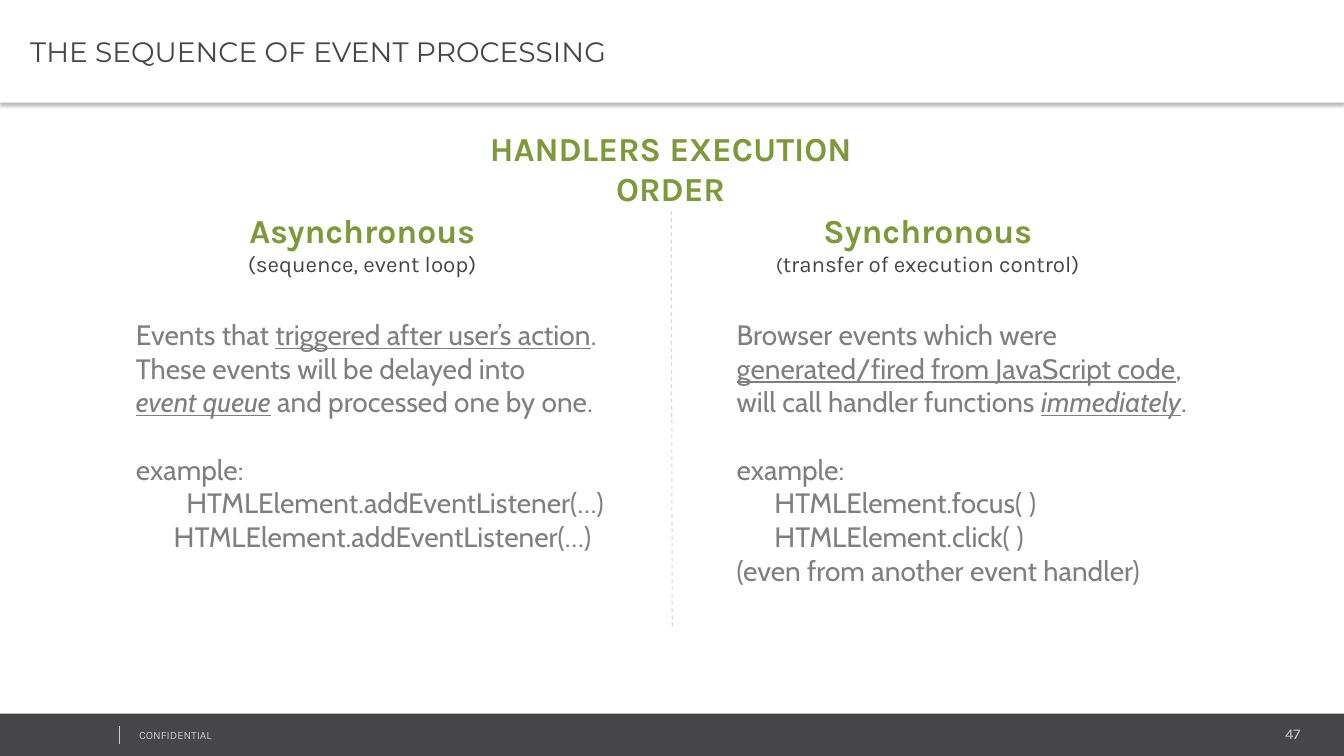
"""Builds a slide that compares asynchronous and synchronous event handlers."""
from collections import namedtuple
from dataclasses import dataclass

from lxml import etree
from pptx import Presentation
from pptx.dml.color import RGBColor
from pptx.enum.dml import MSO_LINE
from pptx.enum.shapes import MSO_CONNECTOR, MSO_SHAPE
from pptx.enum.text import MSO_ANCHOR, PP_ALIGN
from pptx.oxml.ns import qn
from pptx.util import Pt

LEFT, CENTER, RIGHT = PP_ALIGN.LEFT, PP_ALIGN.CENTER, PP_ALIGN.RIGHT
MIDDLE = MSO_ANCHOR.MIDDLE
RECT = MSO_SHAPE.RECTANGLE
STRAIGHT = MSO_CONNECTOR.STRAIGHT
DASH = MSO_LINE.DASH

Look = namedtuple("Look", "font size color bold italic under", defaults=(False, False, False))
Para = namedtuple("Para", "runs gap left", defaults=(0, 0))


@dataclass(frozen=True)
class Theme:
    """Colours and type looks of the slide."""
    white: str = "FFFFFF"
    dark: str = "464547"
    pale: str = "CCCCCC"
    faint: str = "D8D8D8"
    title: Look = Look("Montserrat", 20, "464547")
    head: Look = Look("Karla", 24, "7F993A", True)
    note: Look = Look("Karla", 16, "464547")
    small: Look = Look("Karla", 14, "464547")
    body: Look = Look("Cabin", 20, "7F7F7F")
    under: Look = Look("Cabin", 20, "7F7F7F", under=True)
    stress: Look = Look("Cabin", 20, "7F7F7F", italic=True, under=True)
    page: Look = Look("Karla", 10.7, "CCCCCC")
    foot: Look = Look("Karla", 8, "CCCCCC")


class Canvas:
    """Draws styled elements on the current slide."""

    def __init__(self, slide, theme):
        """Keeps the slide and its theme."""
        self.shapes = slide.shapes
        self.theme = theme

    def flow(self, frame, paras, align):
        """Fills a text frame with paragraphs of styled runs."""
        frame.word_wrap = True
        for i, para in enumerate(paras):
            line = frame.add_paragraph() if i else frame.paragraphs[0]
            line.alignment = align
            if para.gap:
                line.space_before = Pt(para.gap)
            if para.left:
                line.level = 1
                props = line._p.get_or_add_pPr()
                props.set("marL", str(Pt(para.left)))
                props.set("indent", "0")
            for words, look in para.runs:
                for j, part in enumerate(words.split("\n")):
                    if j:
                        line.add_line_break()
                    if part:
                        self.span(line, part, look)

    def span(self, line, words, look):
        """Adds one styled run to a paragraph."""
        piece = line.add_run()
        piece.text = words
        font = piece.font
        font.name, font.size = look.font, Pt(look.size)
        font.color.rgb = RGBColor.from_string(look.color)
        font.bold, font.italic, font.underline = look.bold, look.italic, look.under

    def label(self, box, paras, align=LEFT):
        """Adds a text box."""
        shape = self.shapes.add_textbox(*map(Pt, box))
        self.flow(shape.text_frame, paras, align)

    def bar(self, box, color):
        """Adds a plain filled bar."""
        shape = self.shapes.add_shape(RECT, *map(Pt, box))
        shape.shadow.inherit = False
        shape.fill.solid()
        shape.fill.fore_color.rgb = RGBColor.from_string(color)
        shape.line.fill.background()
        return shape

    def banner(self, box, words):
        """Adds the title bar with its soft shadow."""
        shape = self.bar(box, self.theme.white)
        effects = shape._element.spPr.find(qn("a:effectLst"))
        shade = etree.SubElement(effects, qn("a:outerShdw"), blurRad=str(Pt(3.1)),
                                 dist=str(Pt(2)), dir="5400000", algn="t", rotWithShape="0")
        tint = etree.SubElement(shade, qn("a:srgbClr"), val="000000")
        etree.SubElement(tint, qn("a:alpha"), val="30000")
        frame = shape.text_frame
        frame.vertical_anchor = MIDDLE
        frame.margin_left, frame.margin_right = Pt(21.6), Pt(5)
        frame.margin_top = frame.margin_bottom = Pt(2.9)
        self.flow(frame, [Para([(words, self.theme.title)])], LEFT)

    def rule(self, ends, color, dash=None):
        """Adds a thin straight line."""
        line = self.shapes.add_connector(STRAIGHT, *map(Pt, ends))
        line.line.color.rgb = RGBColor.from_string(color)
        line.line.width = Pt(0.75)
        if dash:
            line.line.dash_style = dash
        etree.SubElement(line._element.spPr, qn("a:effectLst"))


def main():
    """Builds and saves the slide."""
    deck = Presentation()
    deck.slide_width, deck.slide_height = Pt(960), Pt(540)
    theme = Theme()
    page = Canvas(deck.slides.add_slide(deck.slide_layouts[6]), theme)
    body, under, stress = theme.body, theme.under, theme.stress
    gap, inset = 24.3, 27

    page.bar((0, 509.8, 961, 31), theme.dark)
    page.label((779, 514, 157, 20), [Para([("47", theme.page)])], RIGHT)
    page.label((92.2, 517, 243, 17.3), [Para([("CONFIDENTIAL", theme.foot)])])
    page.rule((85.5, 518.4, 85.5, 531.4), theme.pale)

    example = Para([("example:", body)], gap)
    listen = "HTMLElement.addEventListener(…)"
    page.label((90, 223.2, 388.8, 177), [
        Para([("Events that ", body), ("triggered after user’s action", under),
              (". These events will be delayed into\n", body), ("event queue", stress),
              (" and processed one by one.", body)]),
        example,
        Para([("\t" + listen, body)]),
        Para([(listen, body)], left=inset),
    ])
    page.label((519.1, 223.2, 367.2, 201), [
        Para([("Browser events which were ", body),
              ("generated/fired from JavaScript code", under),
              (",\nwill call handler functions ", body), ("immediately", stress), (".", body)]),
        example,
        Para([("HTMLElement.focus( )\nHTMLElement.click( )", body)], left=inset),
        Para([("(even from another event handler)", body)]),
    ])
    page.rule((479.5, 150.5, 480.2, 447.8), theme.faint, DASH)

    page.label((530.6, 146.2, 264.2, 55.4), [
        Para([("Synchronous\n", theme.head), ("(", theme.small),
              ("transfer of execution control)", theme.note)])], CENTER)
    page.label((148.3, 146.2, 221, 55.4), [
        Para([("Asynchronous\n", theme.head), ("(sequence, event loop)", theme.note)])], CENTER)
    page.banner((0, 0, 960, 73.4), "THE SEQUENCE OF EVENT PROCESSING")
    page.label((303.8, 87.8, 350.6, 36),
               [Para([("HANDLERS EXECUTION ORDER", theme.head)])], CENTER)
    deck.save("out.pptx")


if __name__ == "__main__":
    main()
